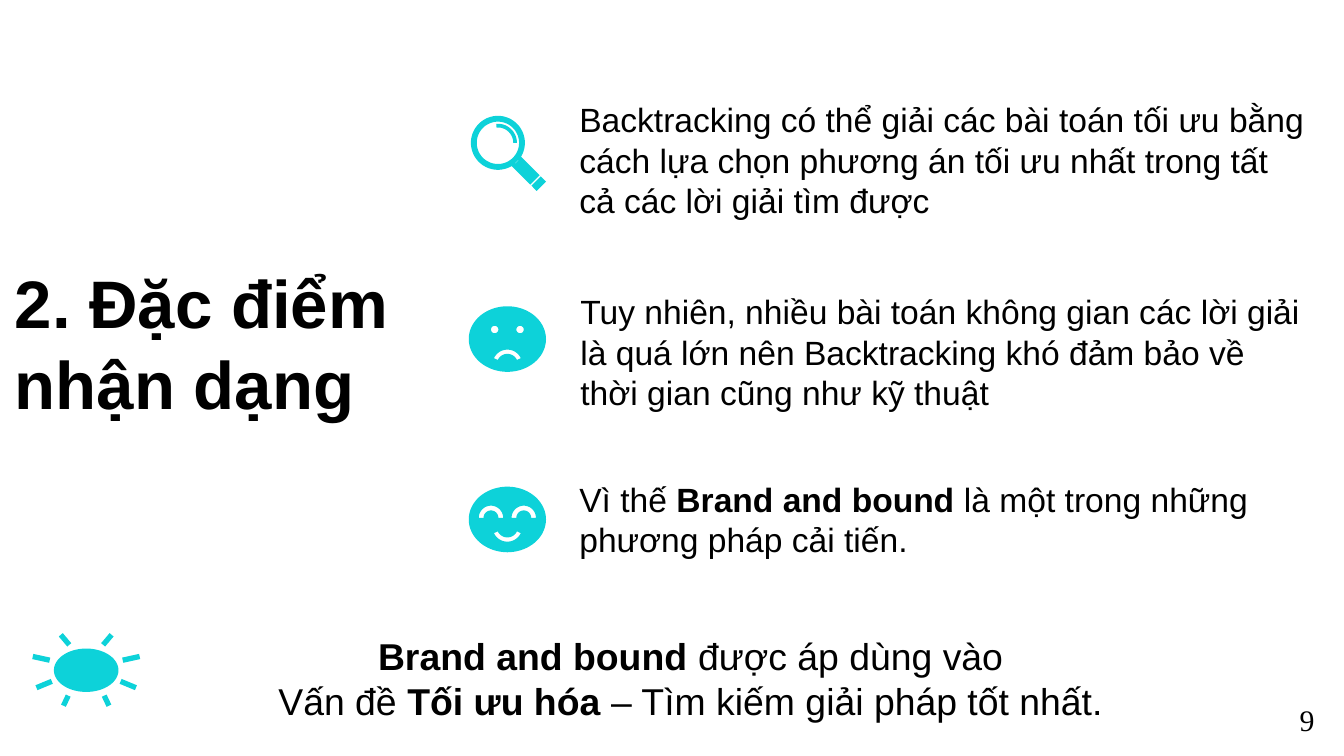
from dataclasses import dataclass
from math import cos, hypot, radians, sin

from pptx import Presentation
from pptx import util as u
from pptx.dml import color
from pptx.enum import text as t

COLORS = {"text": "000000", "icon": "0DD2D9", "background": "FFFFFF"}
Point = tuple[float, float]
Contour = list[Point]


@dataclass
class TextBlock:
    left: float
    top: float
    width: float
    height: float
    content: str
    size: int = 18
    font: str = "Arial"
    align: t.PP_ALIGN = t.PP_ALIGN.LEFT
    anchor: t.MSO_ANCHOR = t.MSO_ANCHOR.TOP
    wrap: bool = True


@dataclass
class Icon:
    center: Point
    contours: list[Contour]


def arc(x: float, y: float, radius_x: float, radius_y: float,
        start: int = 0, end: int = 360) -> Contour:
    return [(x + radius_x * cos(radians(angle)), y + radius_y * sin(radians(angle)))
            for angle in range(start, end + 1, 5)]


def arc_band(x: float, y: float, outer: float, inner: float, start: int, end: int) -> Contour:
    return arc(x, y, outer, outer, start, end) + arc(x, y, inner, inner, start, end)[::-1]


def bar(start: Point, end: Point, width: float) -> Contour:
    (x1, y1), (x2, y2) = start, end
    length = hypot(x2 - x1, y2 - y1)
    dx, dy = (y1 - y2) / length * width / 2, (x2 - x1) / length * width / 2
    return [(x1 + dx, y1 + dy), (x2 + dx, y2 + dy), (x2 - dx, y2 - dy), (x1 - dx, y1 - dy)]


def diagonal_bar(start: float, end: float, width: float) -> Contour:
    slope = cos(radians(45))
    return bar((start * slope, start * slope), (end * slope, end * slope), width)


def add_text(slide, content: str, *, block: TextBlock) -> None:
    shape = slide.shapes.add_textbox(
        u.Cm(block.left), u.Cm(block.top), u.Cm(block.width), u.Cm(block.height))
    frame = shape.text_frame
    frame.word_wrap = block.wrap
    frame.vertical_anchor = block.anchor
    for index, line in enumerate(content.split("\n")):
        paragraph = frame.paragraphs[0] if index == 0 else frame.add_paragraph()
        paragraph.alignment = block.align
        for position, part in enumerate(line.split("**")):
            if part:
                run = paragraph.add_run()
                run.text = part
                run.font.name = block.font
                run.font.size = u.Pt(block.size)
                run.font.bold = position % 2 == 1
                run.font.color.rgb = color.RGBColor.from_string(COLORS["text"])


def add_icon(slide, icon: Icon) -> None:
    center_x, center_y = icon.center
    contours = [[(u.Cm(center_x + x), u.Cm(center_y + y)) for x, y in contour]
                for contour in icon.contours]
    builder = slide.shapes.build_freeform(*contours[0][0])
    for index, contour in enumerate(contours):
        if index:
            builder.move_to(*contour[0])
        builder.add_line_segments(contour[1:], close=True)
    shape = builder.convert_to_shape()
    shape.shadow.inherit = False
    shape.fill.solid()
    shape.fill.fore_color.rgb = color.RGBColor.from_string(COLORS["icon"])
    shape.line.fill.background()


FACE = arc(0, 0, 0.73, 0.62)
RAYS = [((0.32, -0.48), (0.48, -0.67)), ((0.69, -0.19), (1.01, -0.26)),
        ((0.65, 0.21), (0.94, 0.33)), ((0.34, 0.48), (0.43, 0.67))]

magnifier = Icon((9.41, 2.7), [
    arc(0, 0, 0.51, 0.51), arc(0, 0, 0.4, 0.4),
    arc_band(0, 0, 0.36, 0.29, -95, 0),
    diagonal_bar(0.5, 0.99, 0.25), diagonal_bar(1.02, 1.16, 0.25)])
sad_face = Icon((9.59, 6.41), [
    FACE, *(arc(x, -0.18, 0.07, 0.07) for x in (-0.24, 0.24)),
    arc_band(0, 0.48, 0.28, 0.2, 205, 335)])
happy_face = Icon((9.59, 9.82), [
    FACE, *(arc_band(x, -0.03, 0.23, 0.14, 180, 360) for x in (-0.31, 0.31)),
    arc_band(0, 0.14, 0.28, 0.2, 25, 155)])
sun = Icon((1.63, 12.67), [
    arc(0, 0, 0.61, 0.41),
    *(bar((side * x1, y1), (side * x2, y2), 0.1)
      for (x1, y1), (x2, y2) in RAYS for side in (-1, 1))])

BLOCKS = [
    TextBlock(0.03, 0.74, 8, 11.46, "**2. Đặc điểm nhận dạng**", size=36,
              anchor=t.MSO_ANCHOR.MIDDLE),
    TextBlock(10.7, 1.75, 14.2, 4.11,
              "Backtracking có thể giải các bài toán tối ưu bằng cách lựa chọn "
              "phương án tối ưu nhất trong tất cả các lời giải tìm được"),
    TextBlock(10.72, 5.38, 14.2, 2.57,
              "Tuy nhiên, nhiều bài toán không gian các lời giải là quá lớn nên "
              "Backtracking khó đảm bảo về thời gian cũng như kỹ thuật"),
    TextBlock(10.7, 8.92, 14.2, 1.8,
              "Vì thế **Brand and bound **là một trong những phương pháp cải tiến."),
    TextBlock(2.31, 11.84, 21.49, 2.45,
              "**Brand and bound **được áp dùng vào\n"
              "Vấn đề **Tối ưu hóa **– Tìm kiếm giải pháp tốt nhất.",
              size=20, align=t.PP_ALIGN.CENTER),
    TextBlock(24.31, 13.13, 0.79, 0.94, "9", size=16, font="Times New Roman", wrap=False),
]

presentation = Presentation()
presentation.slide_width = u.Cm(25.4)
presentation.slide_height = u.Cm(14.29)
slide = presentation.slides.add_slide(presentation.slide_layouts[6])
slide.background.fill.solid()
slide.background.fill.fore_color.rgb = color.RGBColor.from_string(COLORS["background"])
for block in BLOCKS:
    add_text(slide, block.content, block=block)
for icon in (magnifier, sad_face, happy_face, sun):
    add_icon(slide, icon)
presentation.save("out.pptx")
